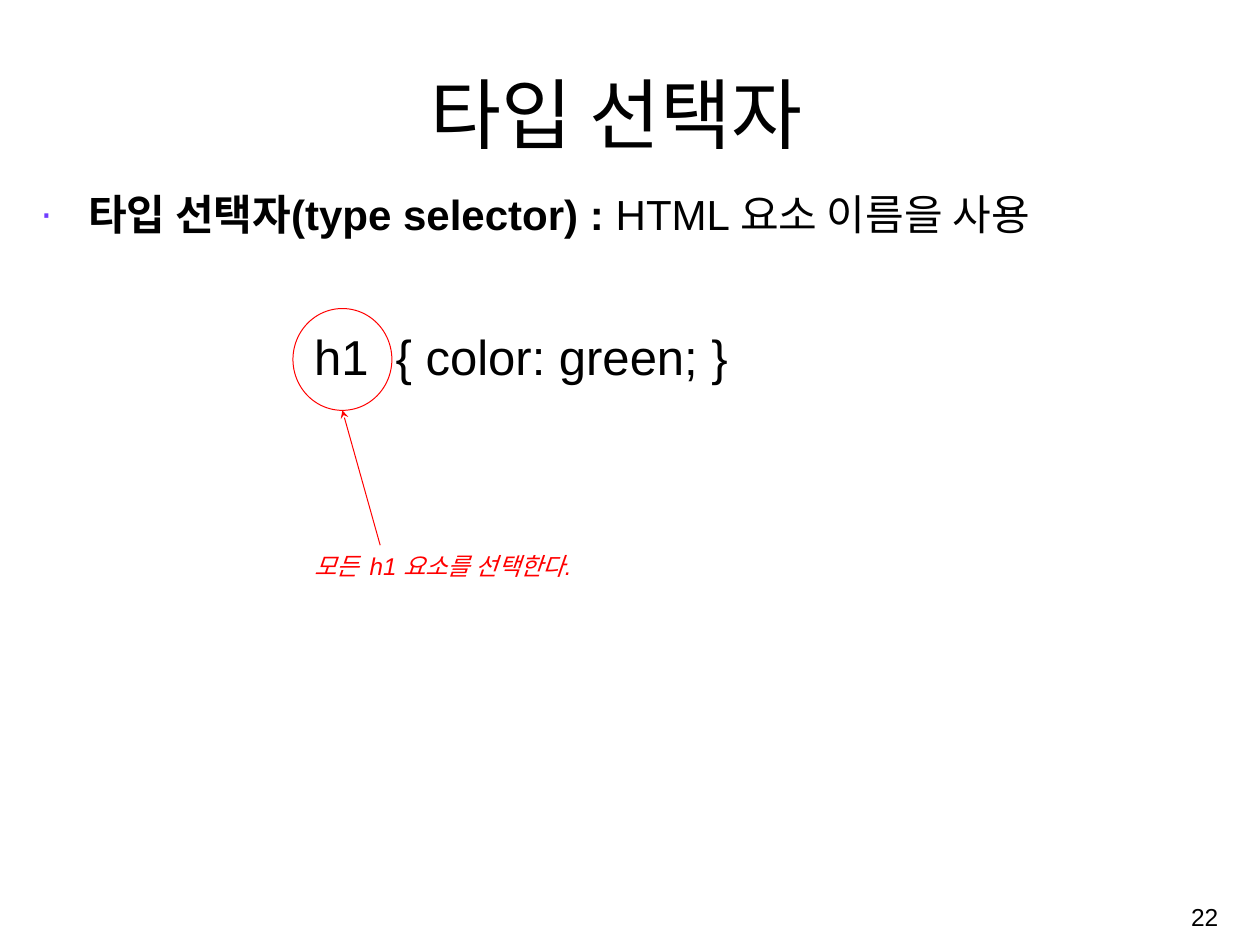
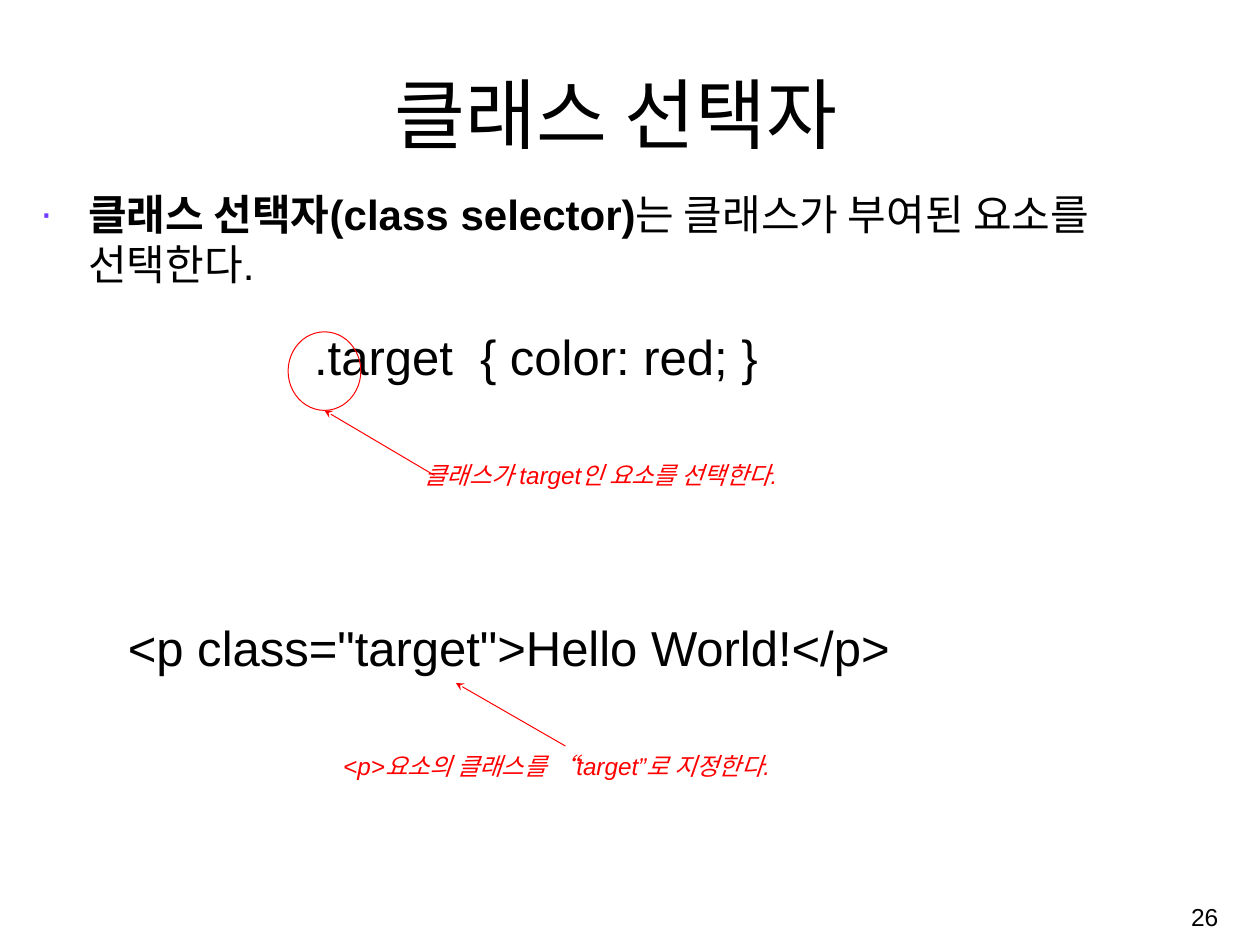
from lxml.etree import SubElement
from pptx import Presentation
from pptx.dml.color import RGBColor
from pptx.enum.shapes import MSO_CONNECTOR as Connector, MSO_SHAPE as Preset
from pptx.enum.text import MSO_ANCHOR as Anchor, MSO_AUTO_SIZE as AutoSize, PP_ALIGN as Align
from pptx.oxml.ns import qn
from pptx.util import Inches, Pt

INK, MARK, BULLET = "000000", "FF0000", "703DFF"
FONT = "Arial"
TITLE = {"size": Pt(57.2)}
BODY = {"size": Pt(31.2)}
CODE = {"size": Pt(36.4)}
NOTE = {"size": Pt(18), "italic": True}
NUMBER = {"size": Pt(18.2)}
TITLE_BOX = (1.05, 0.61, 10.61, 1.08)
BODY_BOX = (0.32, 1.89, 12.32, 7.06)
NUMBER_BOX = (9.98, 9.15, 2.68, 0.6)
CODE_HEIGHT, NOTE_HEIGHT, BODY_INDENT = 0.71, 0.4, 0.49


def rgb(value):
    """Turn a hex string into a colour."""
    return RGBColor.from_string(value)


def add_text(slide, box, runs, style, color=INK, align=Align.LEFT, **frame_format):
    """Place one paragraph of (text, format) runs in a box and return it."""
    frame = slide.shapes.add_textbox(*map(Inches, box)).text_frame
    for key, value in {"word_wrap": True, **frame_format}.items():
        setattr(frame, key, value)
    paragraph = frame.paragraphs[0]
    paragraph.alignment = align
    for text, extra in runs:
        run = paragraph.add_run()
        run.text = text
        run.font.color.rgb = rgb(color)
        for key, value in {"name": FONT, **style, **extra}.items():
            setattr(run.font, key, value)
    return paragraph


def add_bullet(paragraph):
    """Give a paragraph the coloured dot and hanging indent."""
    properties = paragraph._p.get_or_add_pPr()
    properties.set("marL", str(Inches(BODY_INDENT)))
    properties.set("indent", str(-Inches(BODY_INDENT)))
    SubElement(SubElement(properties, qn("a:buClr")), qn("a:srgbClr")).set("val", BULLET)
    SubElement(properties, qn("a:buFont")).set("typeface", FONT)
    SubElement(properties, qn("a:buChar")).set("char", "∙")


def add_code(slide, left, top, width, code):
    """Place a line of sample code."""
    add_text(slide, (left, top, width, CODE_HEIGHT), [(code, {})], CODE,
             auto_size=AutoSize.SHAPE_TO_FIT_TEXT)


def add_circle(slide, box):
    """Ring a part of the code and return the point below it."""
    circle = slide.shapes.add_shape(Preset.OVAL, *map(Inches, box))
    circle.shadow.inherit = False
    circle.fill.background()
    circle.line.color.rgb = rgb(MARK)
    circle.line.width = Pt(0.75)
    left, top, width, height = box
    return left + width / 2, top + height


def add_note(slide, left, top, width, note, start, target):
    """Place a remark with an arrow from start to target."""
    add_text(slide, (left, top, width, NOTE_HEIGHT), [(note, {})], NOTE, MARK,
             auto_size=AutoSize.SHAPE_TO_FIT_TEXT)
    arrow = slide.shapes.add_connector(Connector.STRAIGHT, *map(Inches, (*start, *target)))
    arrow.line.color.rgb = rgb(MARK)
    arrow.line.width = Pt(0.75)
    SubElement(arrow.line._get_or_add_ln(), qn("a:tailEnd")).set("type", "stealth")
    SubElement(arrow._element.spPr, qn("a:effectLst"))


def add_selector_slide(deck, title, term, meaning, number):
    """Add a slide with its title, definition and number."""
    slide = deck.slides.add_slide(deck.slide_layouts[6])
    add_text(slide, TITLE_BOX, [(title, {})], TITLE, align=Align.CENTER,
             vertical_anchor=Anchor.BOTTOM)
    add_bullet(add_text(slide, BODY_BOX, [(term, {"bold": True}), (meaning, {})], BODY))
    add_text(slide, NUMBER_BOX, [(number, {})], NUMBER, align=Align.RIGHT,
             vertical_anchor=Anchor.MIDDLE)
    return slide


def add_type_selector(deck):
    """Build the slide on the type selector."""
    slide = add_selector_slide(deck, "타입 선택자", "타입 선택자(type selector) : ",
                               "HTML 요소 이름을 사용", "22")
    add_code(slide, 3.14, 3.32, 5.58, "h1  { color: green; }")
    below_name = add_circle(slide, (3.02, 3.18, 1.02, 1.05))
    add_note(slide, 3.14, 5.63, 3.18, "모든  h1 요소를 선택한다.", (3.92, 5.62), below_name)


def add_class_selector(deck):
    """Build the slide on the class selector."""
    slide = add_selector_slide(deck, "클래스 선택자", "클래스 선택자(class selector)",
                               "는 클래스가 부여된 요소를 선택한다.", "26")
    add_code(slide, 3.14, 3.32, 6.34, ".target  { color: red; }")
    below_dot = add_circle(slide, (2.97, 3.42, 0.75, 0.81))
    add_note(slide, 4.28, 4.7, 4.16, "클래스가 target인 요소를 선택한다.", (4.48, 4.9), below_dot)
    add_code(slide, 1.22, 6.31, 8.9, '<p class="target">Hello World!</p>')
    add_note(slide, 3.44, 7.69, 4.77, "<p>요소의 클래스를 “target”로 지정한다.",
             (5.83, 7.69), (4.7, 7.04))


def main():
    """Build and save the deck."""
    deck = Presentation()
    deck.slide_width, deck.slide_height = Inches(12.99), Inches(9.74)
    add_type_selector(deck)
    add_class_selector(deck)
    deck.save("out.pptx")


if __name__ == "__main__":
    main()
